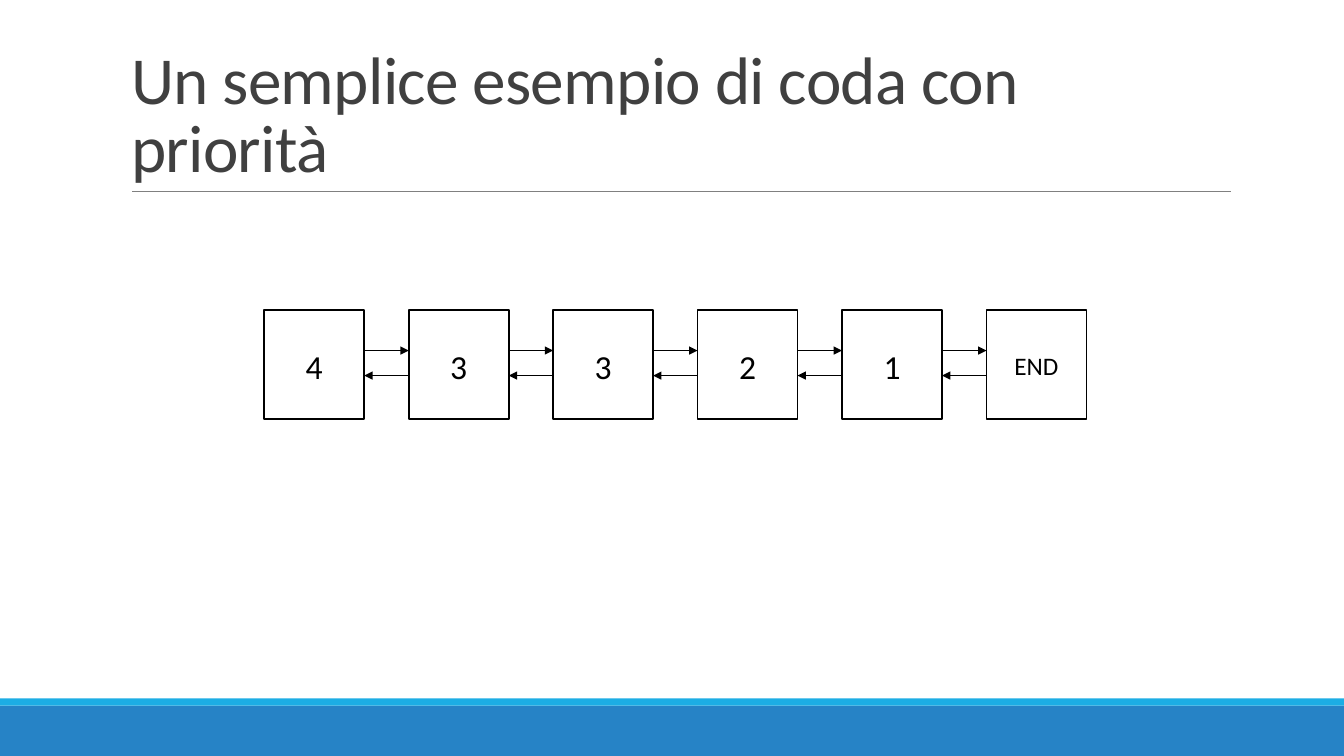
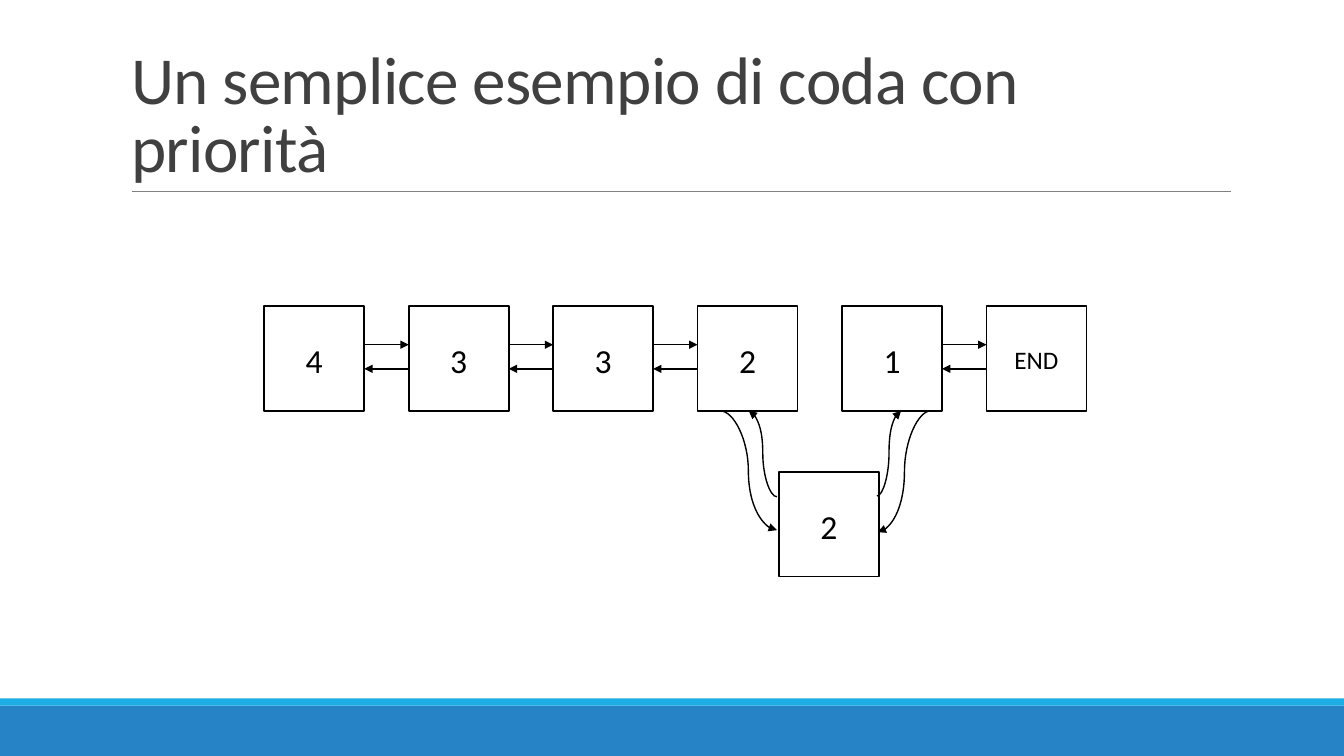
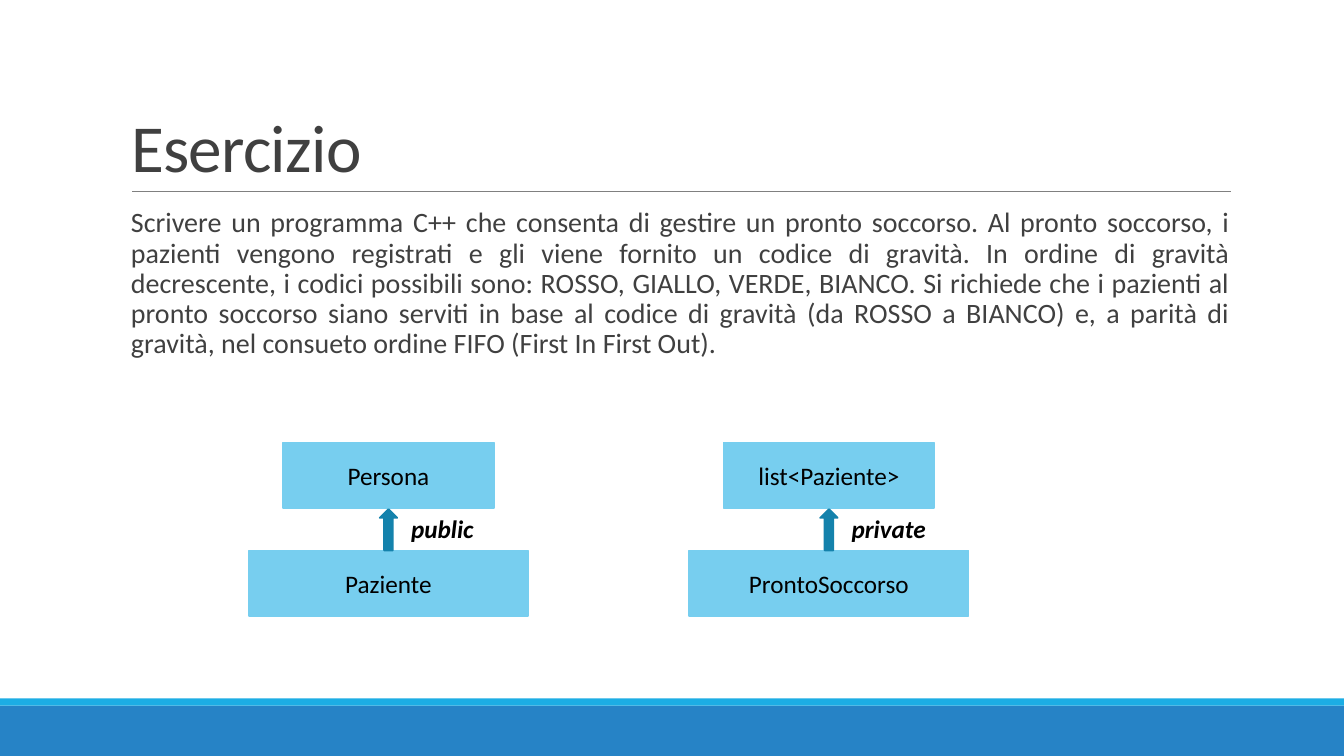
from dataclasses import dataclass

from lxml import etree
from pptx import Presentation
from pptx import util as u
from pptx.dml.color import RGBColor
from pptx.enum import shapes, text
from pptx.oxml import ns

Cm = u.Cm
RECT = shapes.MSO_SHAPE.RECTANGLE
STRAIGHT = shapes.MSO_CONNECTOR.STRAIGHT
CURVE = shapes.MSO_CONNECTOR.CURVE


@dataclass(frozen=True)
class Theme:
    """Colours, font and type sizes of the whole deck."""
    font: str = "Calibri"
    band: str = "2683C6"
    stripe: str = "1CADE4"
    rule: str = "808080"
    heading: str = "404040"
    ink: str = "000000"
    paper: str = "FFFFFF"
    class_fill: str = "77CEEF"
    inherit_arrow: str = "1482AC"
    title_size: int = 48
    node_size: int = 24
    body_size: int = 20
    label_size: int = 18
    outline: float = 1.25
    arrow_line: float = 1


def rgb(code):
    return RGBColor.from_string(code)


class Deck:
    WIDTH, HEIGHT = 33.87, 19.05
    TITLE_ONLY, TITLE_AND_BODY = 5, 1
    # Queue row: equal nodes at a fixed pitch
    ROW_LEFT, PITCH, NODE_WIDTH = 6.66, 3.64, 2.52

    def __init__(self, theme):
        self.theme = theme
        self.prs = Presentation()
        self.prs.slide_width, self.prs.slide_height = Cm(self.WIDTH), Cm(self.HEIGHT)
        self.slide = None

    # Slide frame and placeholders
    def new_slide(self, title, layout=TITLE_ONLY):
        t = self.theme
        self.slide = self.prs.slides.add_slide(self.prs.slide_layouts[layout])
        self.box(0, 17.78, self.WIDTH, 1.27, t.band)
        self.box(0, 17.6, self.WIDTH, 0.18, t.stripe)
        self.line((3.33, 4.83), (31.01, 4.83), t.rule, 0.5)
        heading = self.place(self.slide.shapes.title, 3.05, 0.79, 27.94, 4.04)
        heading.vertical_anchor = text.MSO_ANCHOR.BOTTOM
        paragraph = self.set_text(heading, title, t.title_size, t.heading,
                                  text.PP_ALIGN.LEFT, 0.85)
        paragraph._p.pPr.find(ns.qn("a:defRPr")).set("spc", "-50")

    def body(self, words):
        t = self.theme
        frame = self.place(self.slide.placeholders[1], 3.05, 5.13, 27.94, 11.18)
        frame.margin_left = frame.margin_right = 0
        paragraph = self.set_text(frame, words, t.body_size, t.heading,
                                  text.PP_ALIGN.JUSTIFY, 0.9)
        paragraph.space_before, paragraph.space_after = u.Pt(12), u.Pt(2)
        # Blank bullet with a small hanging indent
        props = paragraph._p.pPr
        props.set("marL", str(Cm(0.25)))
        props.set("indent", str(-Cm(0.25)))
        bullet = etree.Element(ns.qn("a:buChar"), char=" ")
        props.find(ns.qn("a:defRPr")).addprevious(bullet)

    def place(self, holder, left, top, width, height):
        holder.left, holder.top = Cm(left), Cm(top)
        holder.width, holder.height = Cm(width), Cm(height)
        frame = holder.text_frame
        frame.word_wrap = True
        frame.auto_size = text.MSO_AUTO_SIZE.NONE
        return frame

    # Basic elements
    def set_text(self, frame, words, size, color, align, spacing=1.0, strong=False):
        paragraph = frame.paragraphs[0]
        paragraph.text = words
        paragraph.alignment, paragraph.line_spacing = align, spacing
        font = paragraph.font
        font.name, font.size = self.theme.font, u.Pt(size)
        font.color.rgb = rgb(color)
        font.bold = font.italic = strong
        return paragraph

    def box(self, left, top, width, height, fill, outline=None, preset=RECT):
        shape = self.slide.shapes.add_shape(preset, Cm(left), Cm(top),
                                            Cm(width), Cm(height))
        shape.shadow.inherit = False
        shape.fill.solid()
        shape.fill.fore_color.rgb = rgb(fill)
        if outline:
            shape.line.color.rgb = rgb(outline)
            shape.line.width = u.Pt(self.theme.outline)
        else:
            shape.line.fill.background()
        return shape

    def text_box(self, words, size, *box_args, spacing=1.0):
        frame = self.box(*box_args).text_frame
        frame.word_wrap = True
        frame.vertical_anchor = text.MSO_ANCHOR.MIDDLE
        self.set_text(frame, words, size, self.theme.ink, text.PP_ALIGN.CENTER, spacing)

    def label(self, words, left, top, width, height):
        frame = self.slide.shapes.add_textbox(Cm(left), Cm(top), Cm(width),
                                              Cm(height)).text_frame
        frame.word_wrap = True
        self.set_text(frame, words, self.theme.label_size, self.theme.ink,
                      text.PP_ALIGN.LEFT, strong=True)

    def line(self, start, end, color, width, kind=STRAIGHT):
        link = self.slide.shapes.add_connector(kind, *map(Cm, start + end))
        link.line.color.rgb = rgb(color)
        link.line.width = u.Pt(width)
        etree.SubElement(link.element.spPr, ns.qn("a:effectLst"))
        return link

    def arrow(self, start, end, kind=STRAIGHT):
        link = self.line(start, end, self.theme.ink, self.theme.arrow_line, kind)
        outline = link.element.spPr.find(ns.qn("a:ln"))
        etree.SubElement(outline, ns.qn("a:tailEnd"), type="triangle")

    # Diagrams
    def node(self, value, left, top, height):
        t = self.theme
        size = t.node_size if value.isdigit() else t.label_size
        self.text_box(value, size, left, top, self.NODE_WIDTH, height,
                      t.paper, t.ink, spacing=1.07)

    def queue(self, values, top, height, open_gap=None):
        """Doubly linked row; the gap after node number open_gap has no arrows."""
        forward, back = top + 0.37 * height, top + 0.6 * height
        for i, value in enumerate(values):
            left = self.ROW_LEFT + i * self.PITCH
            self.node(value, left, top, height)
            if i and i != open_gap:
                previous_right = left - self.PITCH + self.NODE_WIDTH
                self.arrow((previous_right, forward), (left, forward))
                self.arrow((left, back), (previous_right, back))

    def inheritance(self, center, base, derived, access):
        t = self.theme
        for name, top, width in ((base, 11.15, 5.31), (derived, 13.87, 7.04)):
            self.text_box(name, t.label_size, center - width / 2, top, width, 1.65,
                          t.class_fill, t.class_fill)
        self.box(center - 0.22, 12.83, 0.44, 1.04, t.inherit_arrow,
                 t.inherit_arrow, shapes.MSO_SHAPE.UP_ARROW)
        self.label(access, center + 0.32, 12.8, 3.61, 1.02)


def main():
    deck = Deck(Theme())
    queue_title = "Un semplice esempio di coda con priorità"
    priorities = ["4", "3", "3", "2", "1", "END"]

    # Queue before the insertion
    deck.new_slide(queue_title)
    deck.queue(priorities, 7.82, 2.74)

    # Queue with a new node being linked in
    deck.new_slide(queue_title)
    row_top, node_height = 7.71, 2.64
    row_bottom = row_top + node_height
    deck.queue(priorities, row_top, node_height, open_gap=4)
    deck.node("2", 19.63, 11.89, node_height)
    for start, end in (
        ((18.14, row_bottom), (19.58, 13.36)),
        ((19.58, 12.52), (18.87, row_bottom)),
        ((22.1, 12.5), (22.71, row_bottom)),
        ((23.47, row_bottom), (22.12, 13.41)),
    ):
        deck.arrow(start, end, CURVE)

    # Exercise
    deck.new_slide("Esercizio", Deck.TITLE_AND_BODY)
    deck.body(
        "Scrivere un programma C++ che consenta di gestire un pronto soccorso. "
        "Al pronto soccorso, i pazienti vengono registrati e gli viene fornito un "
        "codice di gravità. In ordine di gravità decrescente, i codici possibili "
        "sono: ROSSO, GIALLO, VERDE, BIANCO. Si richiede che i pazienti al pronto "
        "soccorso siano serviti in base al codice di gravità (da ROSSO a BIANCO) e, "
        "a parità di gravità, nel consueto ordine FIFO (First In First Out).")
    deck.inheritance(9.79, "Persona", "Paziente", "public")
    deck.inheritance(20.89, "list<Paziente>", "ProntoSoccorso", "private")

    deck.prs.save("out.pptx")


if __name__ == "__main__":
    main()
